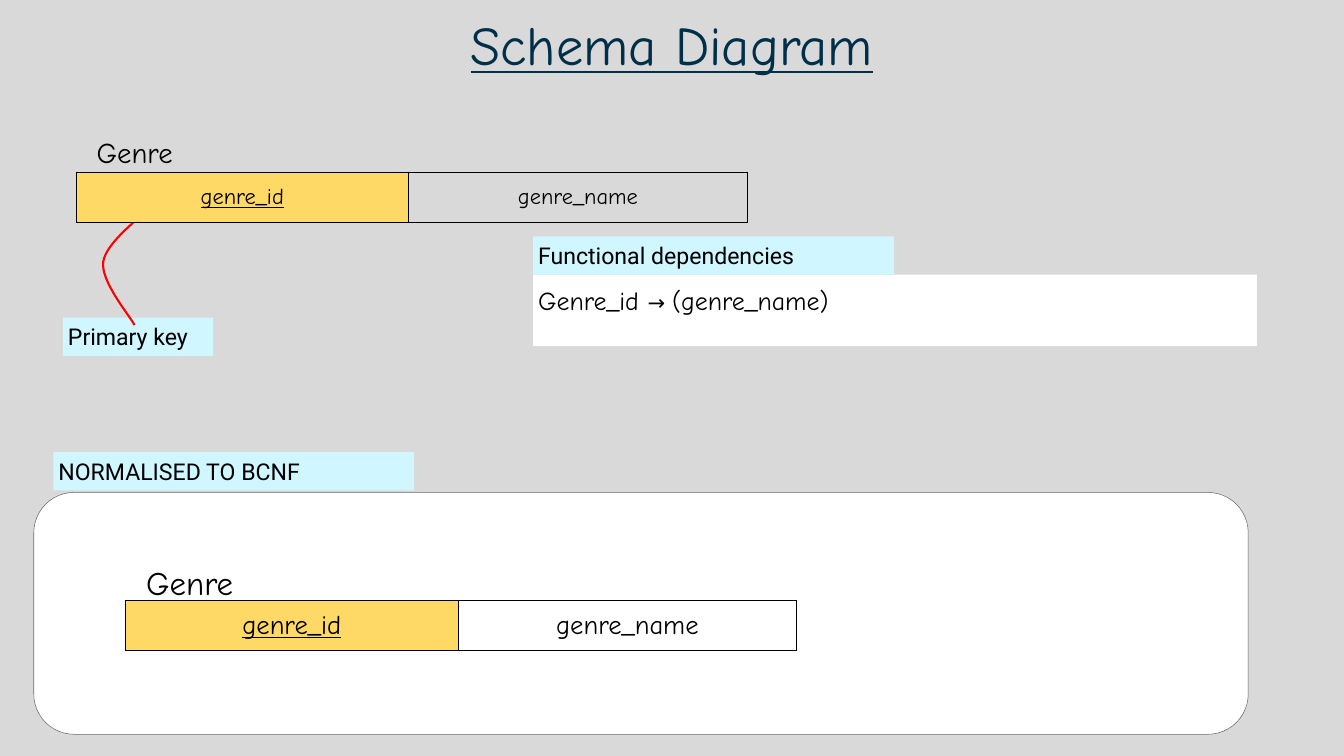
from lxml import etree
from pptx import Presentation
from pptx.dml.color import RGBColor
from pptx.enum.shapes import MSO_SHAPE
from pptx.enum.text import MSO_ANCHOR, MSO_AUTO_SIZE, PP_ALIGN
from pptx.oxml.ns import qn
from pptx.util import Inches, Pt

RECT, ROUNDED = MSO_SHAPE.RECTANGLE, MSO_SHAPE.ROUNDED_RECTANGLE
LEFT, CENTER = PP_ALIGN.LEFT, PP_ALIGN.CENTER
TOP, MIDDLE = MSO_ANCHOR.TOP, MSO_ANCHOR.MIDDLE
NO_AUTOFIT = MSO_AUTO_SIZE.NONE

COLORS = {
    "background": "D9D9D9",
    "title": "002F4A",
    "text": "000000",
    "label": "D0F6FF",
    "key": "FFD966",
    "panel": "FFFFFF",
    "panel_line": "666666",
    "pointer": "FF0000",
}
HAND, SANS = "Comic Neue", "Roboto"
COLUMNS = (6.6, 6.72)


def rgb(name):
    return RGBColor.from_string(COLORS[name])


def add_run(p, text, size, font=HAND, color="text", underline=False):
    r = p.add_run()
    r.text = text
    r.font.size = Pt(size)
    r.font.name = font
    r.font.bold = False
    r.font.underline = underline
    r.font.color.rgb = rgb(color)


def set_frame(tf, inset=0.1, align=LEFT):
    """Prepare a text frame and return its first paragraph."""
    tf.word_wrap = True
    tf.auto_size = NO_AUTOFIT
    tf.vertical_anchor = TOP
    tf.margin_left = tf.margin_right = Inches(inset)
    tf.margin_top = tf.margin_bottom = Inches(inset)
    p = tf.paragraphs[0]
    p.alignment = align
    return p


def add_title(s, text):
    sp = s.shapes.title
    sp.left, sp.top = Inches(1.33), Inches(0.4)
    sp.width, sp.height = Inches(24), Inches(1.89)
    p = set_frame(sp.text_frame, 0.06, CENTER)
    p.line_spacing = 0.8
    add_run(p, text, 78, color="title", underline=True)


def add_box(s, x, y, w, h, fill, line=None, kind=RECT):
    sp = s.shapes.add_shape(kind, Inches(x), Inches(y), Inches(w), Inches(h))
    sp.shadow.inherit = False
    sp.fill.solid()
    sp.fill.fore_color.rgb = rgb(fill)
    if line:
        sp.line.color.rgb = rgb(line)
        sp.line.width = Pt(0.75)
    else:
        sp.line.fill.background()
    return sp


def add_label(s, x, y, w, text):
    sp = add_box(s, x, y, w, 0.76, "label")
    add_run(set_frame(sp.text_frame), text, 33, font=SANS)


def add_dependencies(s):
    sp = add_box(s, 10.58, 5.45, 14.36, 1.42, "panel")
    p = set_frame(sp.text_frame)
    p.line_spacing = 1.15
    for text, size in (("Genre_id ", 37), ("→ ", 30), ("(genre_name)", 37)):
        add_run(p, text, size)


def bezier_points(p0, p1, p2, p3, steps=16):
    for i in range(1, steps + 1):
        t = i / steps
        u = 1 - t
        yield tuple(
            Inches(u**3 * a + 3 * u * u * t * b + 3 * u * t * t * c + t**3 * d)
            for a, b, c, d in zip(p0, p1, p2, p3)
        )


def add_curve(s, *knots):
    """Draw joined cubic segments: a start, then two controls and an end each."""
    points = []
    for i in range(0, len(knots) - 1, 3):
        points.extend(bezier_points(*knots[i:i + 4]))
    x, y = knots[0]
    builder = s.shapes.build_freeform(Inches(x), Inches(y))
    builder.add_line_segments(points, close=False)
    sp = builder.convert_to_shape()
    sp.shadow.inherit = False
    sp.fill.background()
    sp.line.color.rgb = rgb("pointer")
    sp.line.width = Pt(3)


def set_borders(cell):
    tc_pr = cell._tc.get_or_add_tcPr()
    for i, side in enumerate(("lnL", "lnR", "lnT", "lnB")):
        ln = etree.Element(qn(f"a:{side}"), w=str(Pt(1)))
        fill = etree.SubElement(ln, qn("a:solidFill"))
        etree.SubElement(fill, qn("a:srgbClr"), val=COLORS["text"])
        tc_pr.insert(i, ln)


def add_relation(s, x, y, name, fields, size, name_size, name_gap):
    """Draw a relation as a one-row table, key first, with its name above."""
    frame = s.shapes.add_table(1, len(fields), Inches(x), Inches(y),
                               Inches(sum(COLUMNS)), Inches(1))
    table = frame.table
    table.first_row = table.horz_banding = False
    table.rows[0].height = Inches(1)
    for i, (field, width) in enumerate(zip(fields, COLUMNS)):
        is_key = i == 0
        table.columns[i].width = Inches(width)
        cell = table.cell(0, i)
        cell.vertical_anchor = MIDDLE
        cell.margin_left = cell.margin_right = Inches(0.07)
        cell.margin_top = cell.margin_bottom = Inches(0.07)
        if is_key:
            cell.fill.solid()
            cell.fill.fore_color.rgb = rgb("key")
        else:
            cell.fill.background()
        set_borders(cell)
        p = cell.text_frame.paragraphs[0]
        p.alignment = CENTER
        add_run(p, field, size, underline=is_key)

    tb = s.shapes.add_textbox(Inches(x + 0.31), Inches(y - name_gap),
                              Inches(4.9), Inches(1))
    add_run(set_frame(tb.text_frame), name, name_size)


def main():
    prs = Presentation()
    prs.slide_width, prs.slide_height = Inches(26.67), Inches(15)
    s = prs.slides.add_slide(prs.slide_layouts[5])
    s.background.fill.solid()
    s.background.fill.fore_color.rgb = rgb("background")

    add_title(s, "Schema Diagram")
    add_dependencies(s)
    add_label(s, 1.25, 6.3, 2.98, "Primary key")
    add_label(s, 10.58, 4.69, 7.16, "Functional dependencies")
    add_curve(s, (2.67, 6.45), (2.56, 6.24), (1.99, 5.58), (2.05, 5.19),
              (2.11, 4.79), (2.86, 4.26), (3.02, 4.07))
    add_label(s, 1.06, 8.97, 7.16, "NORMALISED TO BCNF")
    panel = add_box(s, 0.67, 9.77, 24.1, 4.8, "panel", "panel_line", ROUNDED)
    panel.adjustments[0] = 0.167

    fields = ("genre_id", "genre_name")
    add_relation(s, 1.51, 3.41, "Genre", fields, 32, 41, 0.84)
    add_relation(s, 2.49, 11.91, "Genre", fields, 38, 47, 0.84)
    prs.save("out.pptx")


if __name__ == "__main__":
    main()
